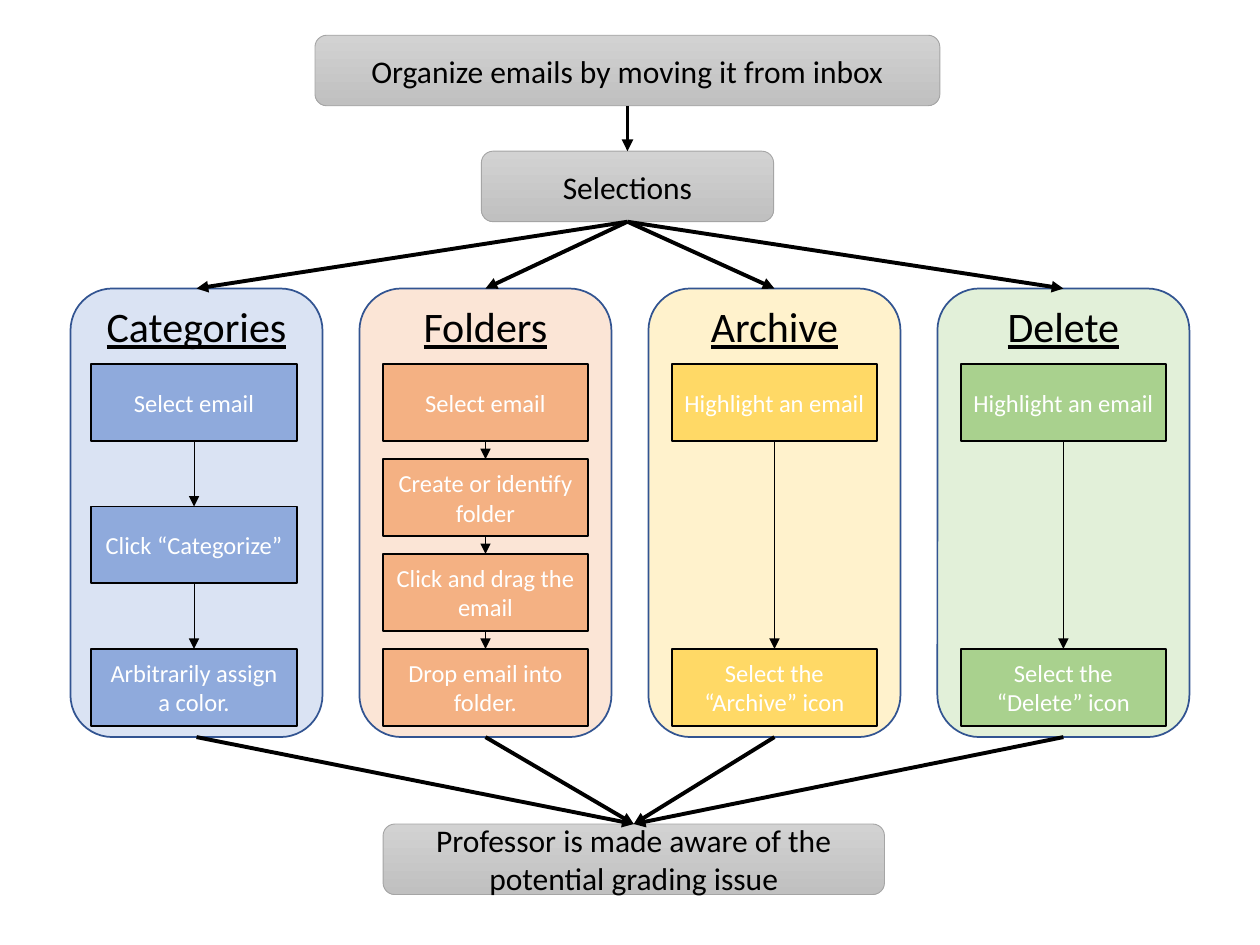
import dataclasses

import lxml.etree
import pptx
import pptx.dml.color
import pptx.enum.dml
import pptx.enum.shapes
import pptx.enum.text
import pptx.oxml.ns
import pptx.util

RGBColor = pptx.dml.color.RGBColor
Shapes = pptx.enum.shapes.MSO_SHAPE
Anchor = pptx.enum.text.MSO_ANCHOR

BLACK = RGBColor(0x00, 0x00, 0x00)
WHITE = RGBColor(0xFF, 0xFF, 0xFF)
GRAY_TOP = RGBColor(0xD2, 0xD2, 0xD2)
GRAY_BOTTOM = RGBColor(0xC0, 0xC0, 0xC0)
GRAY_LINE = RGBColor(0xA5, 0xA5, 0xA5)
PANEL_LINE = RGBColor(0x32, 0x54, 0x91)
BLUE, BLUE_PALE = RGBColor(0x8F, 0xAA, 0xDC), RGBColor(0xDA, 0xE3, 0xF3)
ORANGE, ORANGE_PALE = RGBColor(0xF4, 0xB1, 0x83), RGBColor(0xFB, 0xE5, 0xD6)
YELLOW, YELLOW_PALE = RGBColor(0xFF, 0xD9, 0x66), RGBColor(0xFF, 0xF2, 0xCC)
GREEN, GREEN_PALE = RGBColor(0xA9, 0xD1, 0x8E), RGBColor(0xE2, 0xF0, 0xD9)

FONT = "Calibri"
COLUMNS, ROWS = 100, 75
UNIT = pptx.util.Inches(10) // COLUMNS
TOP_SITE, BOTTOM_SITE = 0, 2

METHODS = [
    ("Categories", BLUE, BLUE_PALE, 0.49,
     ["Select email", "Click “Categorize”", "Arbitrarily assign a color."]),
    ("Folders", ORANGE, ORANGE_PALE, 0.5,
     ["Select email", "Create or identify folder",
      "Click and drag the email", "Drop email into folder."]),
    ("Archive", YELLOW, YELLOW_PALE, 0.5,
     ["Highlight an email", "Select the “Archive” icon"]),
    ("Delete", GREEN, GREEN_PALE, 0.5,
     ["Highlight an email", "Select the “Delete” icon"]),
]


@dataclasses.dataclass
class Box:
    """A rectangle measured in grid columns and rows."""
    left: float
    top: float
    width: float
    height: float

    def lengths(self):
        """Return left, top, width and height in slide units."""
        return [round(value * UNIT) for value in dataclasses.astuple(self)]


def add_box(slide, kind, box, text, size, color, line_color, line_width):
    """Add an outlined shape with one centred run and return it."""
    shape = slide.shapes.add_shape(kind, *box.lengths())
    shape.shadow.inherit = False
    shape.line.color.rgb = line_color
    shape.line.width = pptx.util.Pt(line_width)
    shape.text_frame.word_wrap = True
    shape.text_frame.vertical_anchor = Anchor.MIDDLE
    paragraph = shape.text_frame.paragraphs[0]
    paragraph.alignment = pptx.enum.text.PP_ALIGN.CENTER
    run = paragraph.add_run()
    run.text = text
    run.font.name = FONT
    run.font.size = pptx.util.Pt(size)
    run.font.color.rgb = color
    return shape


def add_arrow(slide, source, target, width):
    """Join the bottom of one shape to the top of another with an arrow."""
    arrow = slide.shapes.add_connector(
        pptx.enum.shapes.MSO_CONNECTOR.STRAIGHT, 0, 0, 0, 0)
    arrow.begin_connect(source, BOTTOM_SITE)
    arrow.end_connect(target, TOP_SITE)
    arrow.line.color.rgb = BLACK
    arrow.line.width = pptx.util.Pt(width)
    qualified = pptx.oxml.ns.qn
    lxml.etree.SubElement(
        arrow.line._get_or_add_ln(), qualified("a:tailEnd"), type="triangle")
    lxml.etree.SubElement(arrow._element.spPr, qualified("a:effectLst"))


def add_stage(slide, box, text):
    """Add a gray gradient box for a shared stage of the flow."""
    shape = add_box(slide, Shapes.ROUNDED_RECTANGLE, box, text, 18, BLACK,
                    GRAY_LINE, 0.5)
    shape.fill.gradient()
    shape.fill.gradient_angle = 270
    for stop, color in zip(shape.fill.gradient_stops, (GRAY_TOP, GRAY_BOTTOM)):
        stop.color.rgb = color
    return shape


def add_method(slide, box, title, color, pale_color, center, steps):
    """Add a titled panel holding evenly spaced steps joined by arrows."""
    panel = add_box(slide, Shapes.ROUNDED_RECTANGLE, box, title, 24, BLACK,
                    PANEL_LINE, 1)
    panel.fill.solid()
    panel.fill.fore_color.rgb = pale_color
    panel.text_frame.vertical_anchor = Anchor.TOP
    panel.text_frame.margin_top = 0
    panel.text_frame.paragraphs[0].runs[0].font.underline = True

    width, height = 16.3, 6.1
    left = box.left + box.width * center - width / 2
    first_top = box.top + 6
    pitch = 22.6 / (len(steps) - 1)
    previous = None
    for index, text in enumerate(steps):
        step_box = Box(left, first_top + index * pitch, width, height)
        step = add_box(slide, Shapes.RECTANGLE, step_box, text, 14, WHITE,
                       BLACK, 1)
        step.fill.solid()
        step.fill.fore_color.rgb = color
        if previous is not None:
            add_arrow(slide, previous, step, 0.5)
        previous = step
    return panel


def add_methods(slide, box):
    """Add the four method panels in equal columns and return them."""
    width = 20
    pitch = (box.width - width) / (len(METHODS) - 1)
    return [
        add_method(slide, Box(box.left + index * pitch, box.top, width,
                              box.height), *method)
        for index, method in enumerate(METHODS)
    ]


def main():
    """Build the email flow chart and save it."""
    presentation = pptx.Presentation()
    presentation.slide_width = COLUMNS * UNIT
    presentation.slide_height = ROWS * UNIT
    slide = presentation.slides.add_slide(presentation.slide_layouts[6])

    outcome = add_stage(slide, Box(30.4, 65.4, 39.8, 5.6),
                        "Professor is made aware of the potential grading issue")
    start = add_stage(slide, Box(25, 2.8, 49.6, 5.6),
                      "Organize emails by moving it from inbox")
    selections = add_stage(slide, Box(38.2, 12, 23.2, 5.6), "Selections")
    panels = add_methods(slide, Box(5.6, 22.9, 88.8, 35.6))

    add_arrow(slide, start, selections, 2.25)
    for panel in panels:
        add_arrow(slide, selections, panel, 2.25)
        add_arrow(slide, panel, outcome, 2.25)
    presentation.save("out.pptx")


if __name__ == "__main__":
    main()
